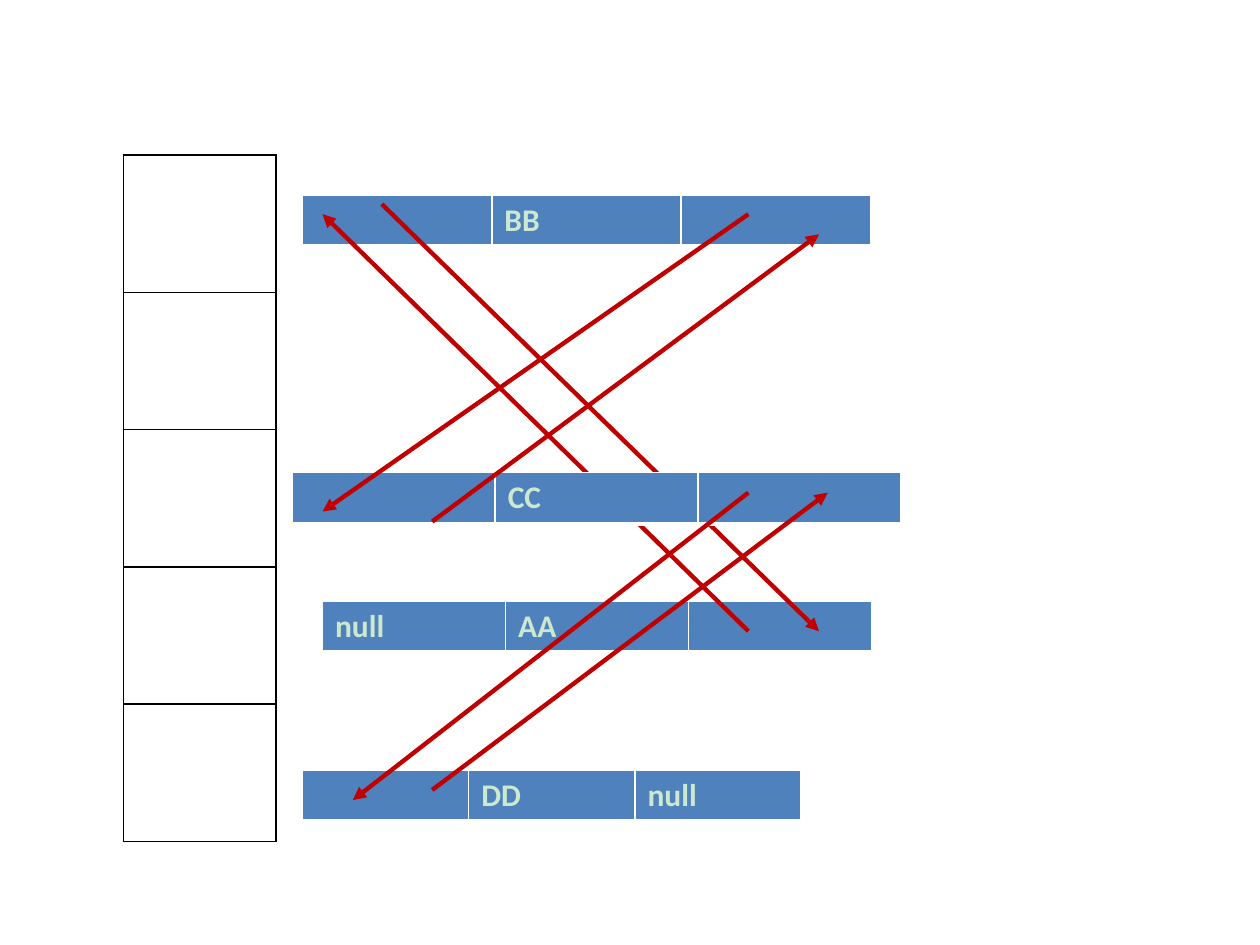
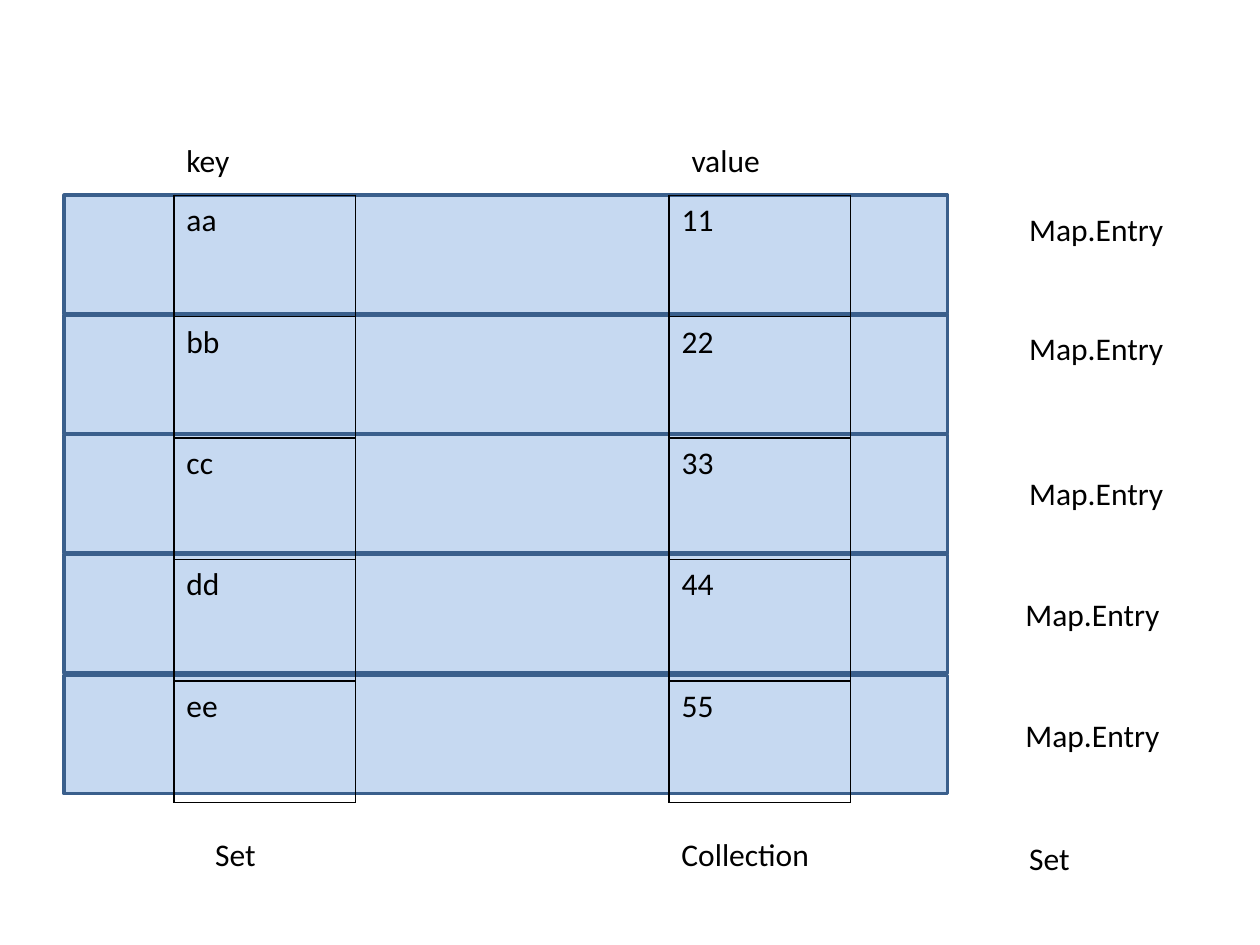
from dataclasses import dataclass

from lxml.etree import SubElement
from pptx import Presentation
from pptx.dml.color import RGBColor
from pptx.enum.shapes import MSO_CONNECTOR, MSO_SHAPE
from pptx.enum.text import MSO_AUTO_SIZE
from pptx.oxml.ns import qn
from pptx.util import Pt

PX = 9144


@dataclass(frozen=True)
class Theme:
    """Colours, type and line widths for both slides."""
    font: str = "Calibri"
    size: int = 18
    paper: str = "FFFFFF"
    ink: str = "000000"
    pale: str = "CCE8CF"
    node: str = "4F81BD"
    link: str = "C00000"
    band: str = "C6D9F1"
    edge: str = "3A5F8C"
    thin: float = 1
    rim: float = 2
    bold: float = 2.5
    thick: float = 3


THEME = Theme()


def px(*vals):
    """Turn px lengths into EMU."""
    return [val * PX for val in vals]


def rgb(code):
    """Return the colour for a hex code."""
    return RGBColor.from_string(code)


def add_run(frame, text, color, bold=False):
    """Add one run in the shared type to the first paragraph."""
    run = frame.paragraphs[0].add_run()
    run.text = text
    font = run.font
    font.name, font.size, font.bold = THEME.font, Pt(THEME.size), bold
    font.color.rgb = rgb(color)


def add_edge(cell, side, color, width):
    """Draw one border of a cell."""
    line = SubElement(cell._tc.get_or_add_tcPr(), qn(f"a:ln{side}"), w=str(Pt(width)))
    fill = SubElement(line, qn("a:solidFill"))
    SubElement(fill, qn("a:srgbClr"), val=color)


def add_grid(slide, box, rows, color, base, fill=None, ink=THEME.ink, bold=False):
    """Add a table with equal cells, even borders and a base line."""
    frame = slide.shapes.add_table(len(rows), len(rows[0]), *px(*box))
    table = frame.table
    table.first_row = table.horz_banding = False
    for row, texts in enumerate(rows):
        for col, text in enumerate(texts):
            cell = table.cell(row, col)
            for side in "LRT":
                add_edge(cell, side, color, THEME.thin)
            add_edge(cell, "B", color, base)
            if fill:
                cell.fill.solid()
                cell.fill.fore_color.rgb = rgb(fill)
            else:
                cell.fill.background()
            if text:
                add_run(cell.text_frame, text, ink, bold)


def add_stack(slide, box, texts):
    """Add a one-column table with black borders."""
    add_grid(slide, box, [[text] for text in texts], THEME.ink, THEME.thin)


def add_node(slide, box, texts):
    """Add a list node with links on both sides of its value."""
    add_grid(slide, box, [texts], THEME.paper, THEME.thick,
             THEME.node, THEME.pale, True)


def add_link(slide, *ends):
    """Add a red arrow from the first point to the second."""
    link = slide.shapes.add_connector(MSO_CONNECTOR.STRAIGHT, *px(*ends))
    link.line.color.rgb = rgb(THEME.link)
    link.line.width = Pt(THEME.bold)
    SubElement(link.line._get_or_add_ln(), qn("a:tailEnd"), type="triangle")
    SubElement(link._element.spPr, qn("a:effectLst"))


def add_band(slide, *box):
    """Add one blue entry band."""
    band = slide.shapes.add_shape(MSO_SHAPE.RECTANGLE, *px(*box))
    band.shadow.inherit = False
    band.fill.solid()
    band.fill.fore_color.rgb = rgb(THEME.band)
    band.line.color.rgb = rgb(THEME.edge)
    band.line.width = Pt(THEME.rim)


def add_label(slide, text, left, top, width):
    """Add a one-line label."""
    frame = slide.shapes.add_textbox(*px(left, top, width, 40)).text_frame
    frame.word_wrap = True
    frame.auto_size = MSO_AUTO_SIZE.SHAPE_TO_FIT_TEXT
    add_run(frame, text, THEME.ink)


def add_page(deck):
    """Add a blank slide in the paper colour."""
    slide = deck.slides.add_slide(deck.slide_layouts[6])
    slide.background.fill.solid()
    slide.background.fill.fore_color.rgb = rgb(THEME.paper)
    return slide


def draw_list(slide):
    """Draw the buckets and the linked nodes beside them."""
    add_stack(slide, (98, 123, 121, 545), [""] * 5)
    add_node(slide, (256, 477, 436, 41), ["null", "AA", ""])
    add_node(slide, (240, 155, 451, 40), ["", "BB", ""])
    add_link(slide, 594, 501, 256, 170)
    add_link(slide, 303, 162, 650, 501)
    add_node(slide, (232, 375, 483, 41), ["", "CC", ""])
    add_link(slide, 594, 170, 256, 406)
    add_link(slide, 343, 414, 650, 186)
    add_node(slide, (240, 611, 396, 40), ["", "DD", "null"])
    add_link(slide, 594, 391, 280, 635)
    add_link(slide, 343, 627, 657, 391)


def draw_map(slide):
    """Draw the map entries with their keys and values."""
    for row in range(5):
        add_band(slide, 51, 155 + row * 381 // 4, 701, 94)
    add_stack(slide, (138, 155, 144, 482), ["aa", "bb", "cc", "dd", "ee"])
    add_stack(slide, (531, 155, 144, 482), ["11", "22", "33", "44", "55"])
    for label in (("key", 138, 107, 205), ("value", 539, 107, 126),
                  ("Set", 161, 658, 260), ("Collection", 531, 658, 181),
                  ("Set", 807, 661, 197)):
        add_label(slide, *label)
    for left, top in ((807, 162), (807, 256), (807, 371), (804, 467), (804, 563)):
        add_label(slide, "Map.Entry", left, top, 165)


def main():
    """Build and save the deck."""
    deck = Presentation()
    deck.slide_width, deck.slide_height = px(1000, 750)
    draw_list(add_page(deck))
    draw_map(add_page(deck))
    deck.save("out.pptx")


if __name__ == "__main__":
    main()
